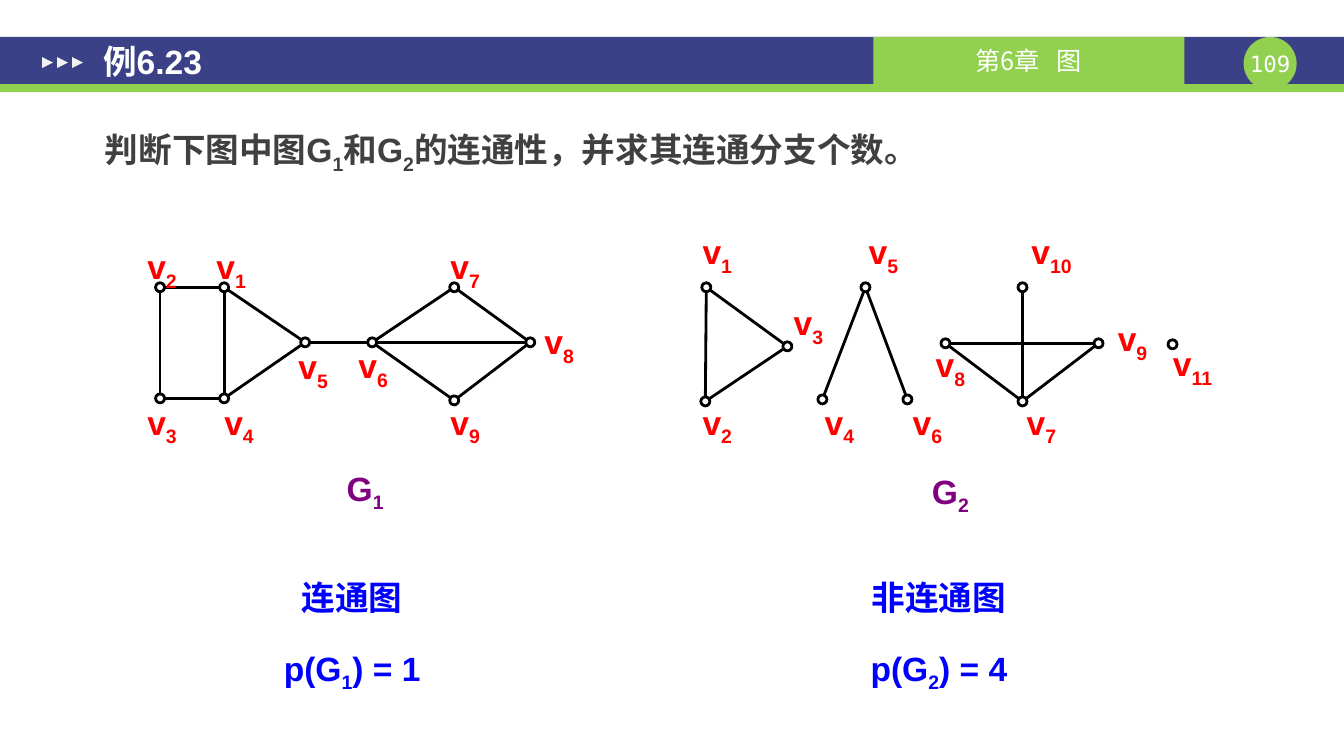
import dataclasses

import pptx
import pptx.dml.color
import pptx.enum.shapes
import pptx.enum.text
import pptx.oxml
import pptx.oxml.ns
import pptx.util

EMU_PER_PIXEL = 914400 / 100.7
SHAPE = pptx.enum.shapes.MSO_SHAPE
ALIGN = pptx.enum.text.PP_ALIGN
ANCHOR = pptx.enum.text.MSO_ANCHOR


@dataclasses.dataclass(frozen=True)
class Theme:
    """Colours, fonts and type sizes of the slide."""
    navy: str = "3A4187"
    green: str = "92D050"
    white: str = "FFFFFF"
    pale: str = "F2F2F2"
    ink: str = "404040"
    black: str = "000000"
    vertex: str = "FF0000"
    graph: str = "800080"
    answer: str = "0000FF"
    latin: str = "Arial"
    chinese: str = "Noto Sans CJK SC"
    mono: str = "DejaVu Sans Mono"
    main: int = 24
    chapter: int = 18
    number: int = 16
    stroke: int = 2
    answer_gap: int = 22


THEME = Theme()

# Vertex number: (node centre, top centre of its label), relative to the graph box
G1_VERTICES = {
    1: ((88, 59), (95, 18)), 2: ((24, 59), (26, 18)), 3: ((24, 170), (26, 173)),
    4: ((88, 170), (103, 173)), 5: ((169, 114), (177, 118)), 6: ((236, 114), (237, 117)),
    7: ((318, 59), (329, 18)), 8: ((394, 114), (423, 93)), 9: ((318, 172), (329, 173)),
}
G1_EDGES = [(1, 2), (2, 3), (3, 4), (1, 4), (1, 5), (4, 5), (5, 6),
            (6, 7), (6, 8), (6, 9), (7, 8), (8, 9)]
G2_VERTICES = {
    1: ((15, 59), (26, 3)), 2: ((14, 173), (26, 173)), 3: ((96, 118), (117, 74)),
    4: ((131, 171), (148, 173)), 5: ((174, 59), (192, 3)), 6: ((216, 171), (236, 173)),
    7: ((331, 173), (350, 173)), 8: ((254, 115), (259, 116)), 9: ((407, 115), (441, 90)),
    10: ((331, 59), (360, 3)), 11: ((481, 116), (501, 115)),
}
G2_EDGES = [(1, 2), (1, 3), (2, 3), (4, 5), (5, 6), (7, 8), (7, 9), (8, 9), (7, 10)]


def px(*values):
    """Turn pixels into a list of EMU lengths."""
    return [pptx.util.Emu(round(value * EMU_PER_PIXEL)) for value in values]


def rgb(colour):
    """Make a colour from its hex name."""
    return pptx.dml.color.RGBColor.from_string(colour)


def write(para, text, colour, size=THEME.main, font=THEME.latin, bold=True):
    """Add runs to a paragraph; every second part between bars is a subscript."""
    spans = []
    for index, part in enumerate(text.split("|")):
        if not part:
            continue
        span = para.add_run()
        span.text = part
        span.font.size = pptx.util.Pt(size)
        span.font.name = font
        span.font.bold = bold
        span.font.color.rgb = rgb(colour)
        properties = span.font._element
        pptx.oxml.ns.qn("a:ea")
        properties.append(pptx.oxml.parse_xml(
            f'<a:ea {pptx.oxml.ns.nsdecls("a")} typeface="{THEME.chinese}"/>'))
        if index % 2:
            properties.set("baseline", "-25000")
        spans.append(span)
    return spans


def prepare(frame, anchor=ANCHOR.TOP, align=ALIGN.CENTER, wrap=True):
    """Clear the insets of a text frame and return its first paragraph."""
    frame.margin_left = frame.margin_right = frame.margin_top = frame.margin_bottom = 0
    frame.word_wrap = wrap
    frame.auto_size = pptx.enum.text.MSO_AUTO_SIZE.NONE
    frame.vertical_anchor = anchor
    frame.paragraphs[0].alignment = align
    return frame.paragraphs[0]


def add_text(page, box, text, colour, align=ALIGN.CENTER):
    """Place one line of text in a box and return its frame."""
    frame = page.shapes.add_textbox(*px(*box)).text_frame
    write(prepare(frame, align=align), text, colour)
    return frame


def add_filled(page, kind, box, colour):
    """Place a flat preset shape without an outline."""
    shape = page.shapes.add_shape(kind, *px(*box))
    shape.shadow.inherit = False
    shape.fill.solid()
    shape.fill.fore_color.rgb = rgb(colour)
    shape.line.fill.background()
    return shape


def add_header(page, box, title, chapter, number):
    """Draw the title band with arrows, chapter tab and page number."""
    left, top, width, height = box
    band = height - 8
    add_filled(page, SHAPE.RECTANGLE, (left, top, width, band), THEME.navy)
    add_filled(page, SHAPE.RECTANGLE, (left, top + band, width, 8), THEME.green)

    circle = add_filled(page, SHAPE.OVAL, (left + 1243, top, 53, 53), THEME.green)
    para = prepare(circle.text_frame, ANCHOR.MIDDLE, wrap=False)
    write(para, number, THEME.white, THEME.number, THEME.mono, False)

    tab = add_filled(page, SHAPE.RECTANGLE, (left + 873, top, 311, band), THEME.green)
    para = prepare(tab.text_frame, ANCHOR.MIDDLE)
    before, after = chapter
    style = (THEME.white, THEME.chapter, THEME.chinese, False)
    write(para, before, *style)
    gap = write(para, " ", *style)[0]
    gap.font._element.set("spc", "800")
    write(para, after, *style)

    for index in range(3):
        arrow = add_filled(page, SHAPE.ISOSCELES_TRIANGLE,
                           (left + 42 + 15 * index, top + 20, 11, 11), THEME.pale)
        arrow.rotation = 90

    holder = page.shapes.title
    holder.left, holder.top, holder.width, holder.height = px(left + 103, top, 760, band)
    write(prepare(holder.text_frame, ANCHOR.MIDDLE, ALIGN.LEFT), title, THEME.white)
    page.shapes._spTree.append(holder._element)


def add_edge(page, start, end):
    """Draw a straight edge between two node centres."""
    edge = page.shapes.add_connector(
        pptx.enum.shapes.MSO_CONNECTOR.STRAIGHT, *px(*start, *end))
    edge.line.color.rgb = rgb(THEME.black)
    edge.line.width = pptx.util.Pt(THEME.stroke)
    edge._element.spPr.append(
        pptx.oxml.parse_xml(f'<a:effectLst {pptx.oxml.ns.nsdecls("a")}/>'))


def add_graph(page, box, vertices, edges, name, name_at):
    """Draw edges, nodes and labels of a graph inside its box."""
    left, top = box[:2]

    def place(point):
        """Move a point of the graph onto the page."""
        return left + point[0], top + point[1]

    def label(point, text, colour):
        """Centre a label below a point."""
        x, y = place(point)
        add_text(page, (x - 40, y, 80, 45), text, colour)

    for start, end in edges:
        add_edge(page, place(vertices[start][0]), place(vertices[end][0]))
    for number, (centre, label_at) in vertices.items():
        x, y = place(centre)
        node = add_filled(page, SHAPE.OVAL, (x - 4.5, y - 4.5, 9, 9), THEME.white)
        node.line.color.rgb = rgb(THEME.black)
        node.line.width = pptx.util.Pt(THEME.stroke)
        label(label_at, f"v|{number}", THEME.vertex)
    label(name_at, name, THEME.graph)


def add_answer(page, box, verdict, count):
    """Write the verdict and the number of components below a graph."""
    frame = add_text(page, box, verdict, THEME.answer)
    para = frame.add_paragraph()
    para.alignment = ALIGN.CENTER
    para.space_before = pptx.util.Pt(THEME.answer_gap)
    write(para, count, THEME.answer)


def main():
    """Build the slide and save it."""
    deck = pptx.Presentation()
    deck.slide_width = pptx.util.Inches(13.34)
    deck.slide_height = pptx.util.Inches(7.5)
    page = deck.slides.add_slide(deck.slide_layouts[5])
    add_header(page, (0, 37, 1344, 55), "例6.23", ("第6章", "图"), "109")
    add_text(page, (105, 129, 1100, 60),
             "判断下图中图G|1|和G|2|的连通性，并求其连通分支个数。", THEME.ink, ALIGN.LEFT)
    add_graph(page, (136, 228, 450, 290), G1_VERTICES, G1_EDGES, "G|1", (229, 239))
    add_graph(page, (691, 228, 530, 290), G2_VERTICES, G2_EDGES, "G|2", (259, 242))
    add_answer(page, (201, 576, 302, 125), "连通图", "p(G|1|) = 1")
    add_answer(page, (756, 576, 365, 125), "非连通图", "p(G|2|) = 4")
    deck.save("out.pptx")


main()
